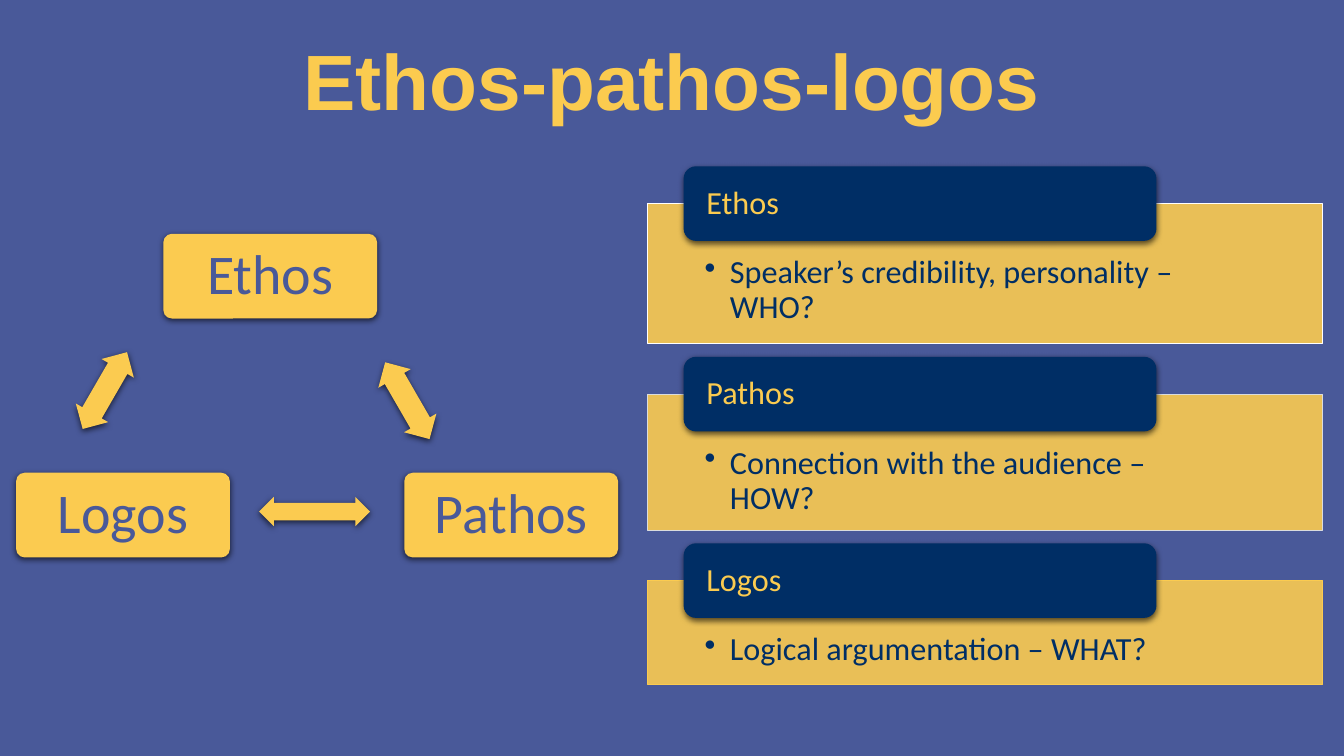
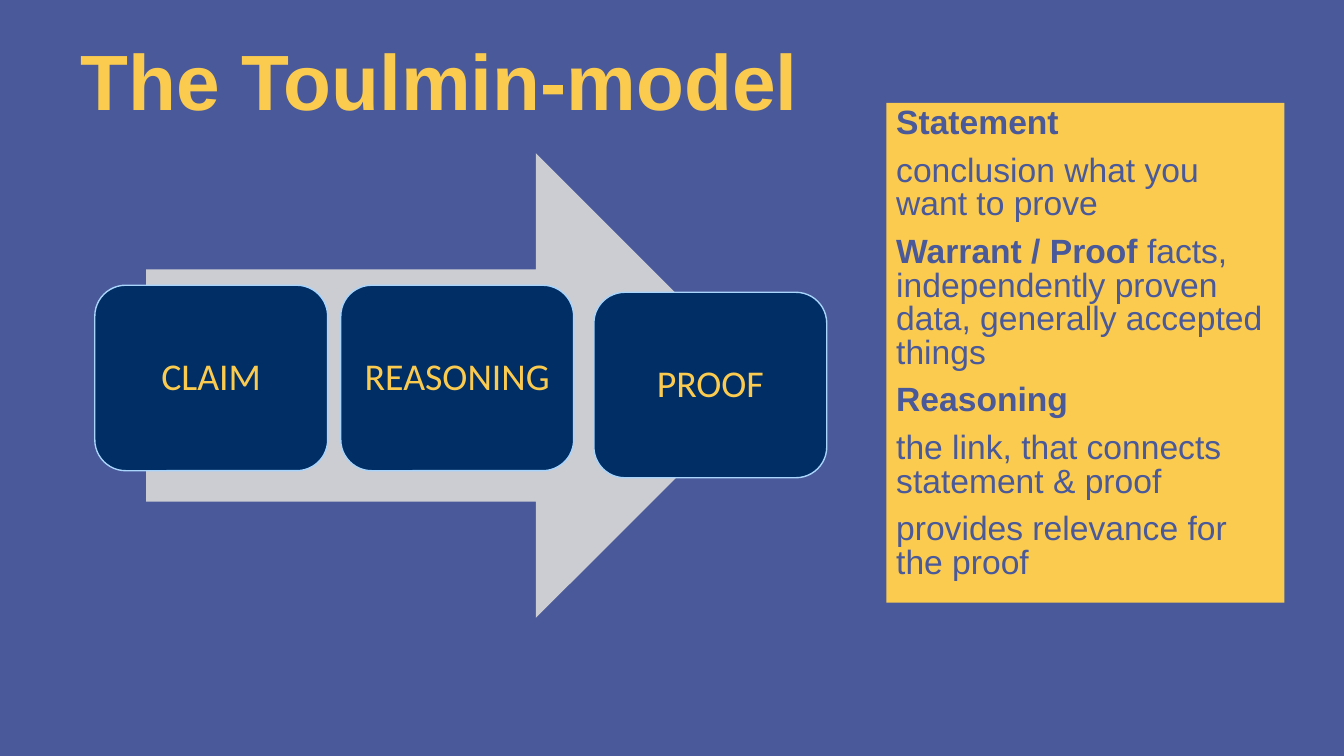
import dataclasses

import lxml.etree
import pptx
import pptx.dml.color
import pptx.enum.shapes
import pptx.enum.text
import pptx.oxml.ns
import pptx.util

Inches = pptx.util.Inches
Pt = pptx.util.Pt
RGB = pptx.dml.color.RGBColor.from_string
qn = pptx.oxml.ns.qn
Kind = pptx.enum.shapes.MSO_SHAPE
Align = pptx.enum.text.PP_ALIGN
Anchor = pptx.enum.text.MSO_ANCHOR


@dataclasses.dataclass(frozen=True)
class Theme:
    back: str = "495999"
    title: str = "FBCB4F"
    gold: str = "FBCB50"
    navy: str = "002E65"
    grey: str = "CCCDD3"
    edge: str = "A9D5FC"
    head: str = "Arial"
    body: str = "Calibri"
    title_size: int = 56
    node_size: int = 40
    step_size: int = 27
    note_size: int = 24
    list_size: int = 23


theme = Theme()


def write(shape, paras, size, color, font=theme.body, align=Align.LEFT, anchor=Anchor.MIDDLE,
          inset=(0, 0, 0, 0), lead=0.9, before=0, bullet=False):
    """Fill a shape with paragraphs, each a list of (text, bold) runs; a line feed breaks the line."""
    frame = shape.text_frame
    frame.word_wrap = True
    frame.auto_size = pptx.enum.text.MSO_AUTO_SIZE.NONE
    frame.vertical_anchor = anchor
    left, top, right, bottom = map(Inches, inset)
    frame.margin_left, frame.margin_top = left, top
    frame.margin_right, frame.margin_bottom = right, bottom
    for i, runs in enumerate(paras):
        para = frame.add_paragraph() if i else frame.paragraphs[0]
        para.alignment = align
        para.line_spacing = lead
        para.space_before = Pt(before)
        if bullet:
            props = para._p.get_or_add_pPr()
            props.set("marL", str(Inches(0.25)))
            props.set("indent", str(-Inches(0.25)))
            lxml.etree.SubElement(props, qn("a:buChar"), char="•")
        for text, bold in runs:
            for j, line in enumerate(text.split("\n")):
                if j:
                    para.add_line_break()
                run = para.add_run()
                run.text = line
                run.font.name = font
                run.font.size = Pt(size)
                run.font.bold = bold
                run.font.color.rgb = RGB(color)


def draw(slide, kind, at, fill, line=None, width=0.5, alpha=None, shade=False, turn=0, adjust=()):
    shape = slide.shapes.add_shape(kind, *map(Inches, at))
    shape.rotation = turn
    for i, value in enumerate(adjust):
        shape.adjustments[i] = value
    shape.fill.solid()
    shape.fill.fore_color.rgb = RGB(fill)
    props = shape.element.spPr
    if alpha:
        tone = props.find(qn("a:solidFill"))[0]
        lxml.etree.SubElement(tone, qn("a:alpha"), val=str(alpha * 1000))
    if line:
        shape.line.color.rgb = RGB(line)
        shape.line.width = Pt(width)
    else:
        shape.line.fill.background()
    shape.shadow.inherit = False
    if shade:
        outer = lxml.etree.SubElement(
            props.find(qn("a:effectLst")), qn("a:outerShdw"),
            blurRad=str(Pt(4.5)), dist=str(Pt(1.5)), dir="5400000", rotWithShape="0")
        tone = lxml.etree.SubElement(outer, qn("a:srgbClr"), val="000000")
        lxml.etree.SubElement(tone, qn("a:alpha"), val="63000")
    return shape


deck = pptx.Presentation()
deck.slide_width, deck.slide_height = Inches(13.33), Inches(7.5)
ground = deck.slide_master.background.fill
ground.solid()
ground.fore_color.rgb = RGB(theme.back)

slides = []
for text, align in [("Ethos-pathos-logos", Align.CENTER), ("The Toulmin-model", Align.LEFT)]:
    slide = deck.slides.add_slide(deck.slide_layouts[5])
    title = slide.shapes.title
    title.left, title.top = Inches(0.8), Inches(0.25)
    title.width, title.height = Inches(11.73), Inches(1)
    write(title, [[(text, True)]], theme.title_size, theme.title, font=theme.head,
          align=align, anchor=Anchor.BOTTOM, lead=Pt(68))
    slides.append(slide)
appeals, model = slides

# Triangle of appeals
for text, left, top in [("Ethos", 1.62, 2.32), ("Pathos", 4.01, 4.69), ("Logos", 0.16, 4.69)]:
    node = draw(appeals, Kind.ROUNDED_RECTANGLE, (left, top, 2.12, 0.84), theme.gold,
                shade=True, adjust=[0.1])
    write(node, [[(text, False)]], theme.node_size, theme.back, align=Align.CENTER)

for at, turn in [((3.6, 3.79, 0.88, 0.37), 60), ((2.57, 4.93, 1.1, 0.29), 180),
                 ((0.6, 3.69, 0.88, 0.37), 300)]:
    draw(appeals, Kind.LEFT_RIGHT_ARROW, at, theme.gold, shade=True, turn=turn, adjust=[0.6, 0.5])

# Panels with a tab on the upper edge
top = 2.02
for name, text, height, line in [
    ("Ethos", "Speaker’s credibility, personality – WHO?", 1.39, "FFFFFF"),
    ("Pathos", "Connection with the audience – \nHOW?", 1.35, "DADCDD"),
    ("Logos", "Logical argumentation – WHAT?", 1.03, theme.gold),
]:
    panel = draw(appeals, Kind.RECTANGLE, (6.42, top, 6.7, height), theme.gold, line=line, alpha=90)
    write(panel, [[(text, False)]], theme.list_size, theme.navy, anchor=Anchor.TOP,
          inset=(0.57, 0.52, 0.57, 0.18), bullet=True)
    tab = draw(appeals, Kind.ROUNDED_RECTANGLE, (6.78, top - 0.37, 4.69, 0.74), theme.navy, shade=True)
    write(tab, [[(name, False)]], theme.list_size, theme.gold, inset=(0.19, 0, 0.19, 0))
    top += height + 0.5

# Steps on the arrow
draw(model, Kind.RIGHT_ARROW, (1.45, 1.52, 6.17, 4.61), theme.grey)
for text, left, top in [("CLAIM", 0.94, 2.83), ("REASONING", 3.38, 2.83), ("PROOF", 5.89, 2.9)]:
    step = draw(model, Kind.ROUNDED_RECTANGLE, (left, top, 2.31, 1.84), theme.navy,
                line=theme.edge, width=1)
    write(step, [[(text, False)]], theme.step_size, theme.gold, align=Align.CENTER)

notes = [
    [("Statement", True)],
    [("conclusion what you want to prove", False)],
    [("Warrant / Proof", True),
     (" facts, independently proven data, generally accepted things", False)],
    [("Reasoning", True)],
    [("the link, that connects statement & proof", False)],
    [("provides relevance for the proof", False)],
]
card = draw(model, Kind.RECTANGLE, (8.79, 1.02, 3.95, 4.96), theme.gold)
write(card, notes, theme.note_size, theme.back, font=theme.head, anchor=Anchor.TOP,
      inset=(0.1, 0.05, 0.1, 0.05), lead=Pt(24), before=10)

deck.save("out.pptx")
